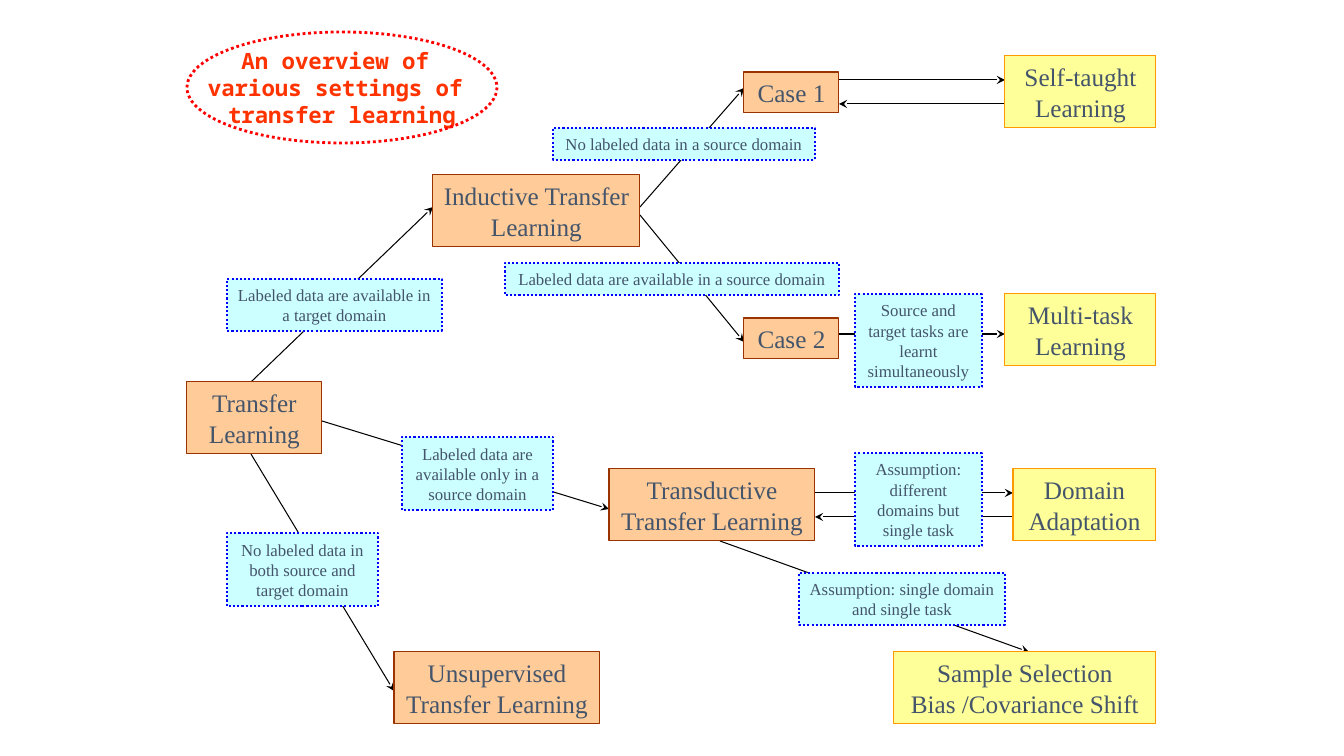
from pptx import Presentation
from pptx.dml.color import RGBColor as Rgb
from pptx.enum.dml import MSO_LINE as Dash
from pptx.enum.shapes import MSO_CONNECTOR as Conn, MSO_SHAPE as Geo
from pptx.enum.text import MSO_ANCHOR as Anchor, MSO_AUTO_SIZE as Fit, PP_ALIGN as Align
from pptx.oxml.ns import qn
from pptx.util import Emu, Pt
from lxml.etree import SubElement as Sub

THEME = {
    "node": {"fill": "FFCC99", "line": "993300", "width": 0.75, "dash": None, "size": 18},
    "goal": {"fill": "FFFF99", "line": "FF9900", "width": 0.75, "dash": None, "size": 18},
    "label": {"fill": "CCFFFF", "line": "0000FF", "width": 1.5, "dash": Dash.ROUND_DOT, "size": 12},
    "title": {"size": 16, "color": "FF3300", "font": "Noto Sans Mono", "bold": True},
    "ring": {"line": "FF0000", "width": 2},
    "text": {"color": "44546A", "font": "Times New Roman"},
    "arrow": {"line": "000000", "width": 0.75},
}
SCALE = 12192000 / 1344


def px(*nums):
    return [Emu(round(n * SCALE)) for n in nums]


def write(shape, text, size, color, font, bold=False, wrap=True, inset=(7, 5)):
    frame = shape.text_frame
    frame.text = text
    frame.auto_size = Fit.NONE
    frame.word_wrap = wrap
    frame.vertical_anchor = Anchor.MIDDLE
    side, edge = px(*inset)
    frame.margin_left = frame.margin_right = side
    frame.margin_top = frame.margin_bottom = edge
    for para in frame.paragraphs:
        para.alignment = Align.CENTER
        for run in para.runs:
            run.font.size = Pt(size)
            run.font.name = font
            run.font.bold = bold
            run.font.color.rgb = Rgb.from_string(color)


deck = Presentation()
deck.slide_width, deck.slide_height = px(1344, 756)
slide = deck.slides.add_slide(deck.slide_layouts[5])
shapes = slide.shapes

oval = px(187, 32, 310, 111)
title = shapes.title
title.left, title.top, title.width, title.height = oval
write(title, "An overview of \nvarious settings of \ntransfer learning",
      wrap=False, inset=(0, 0), **THEME["title"])

ring = shapes.add_shape(Geo.OVAL, *oval)
ring.shadow.inherit = False
ring.fill.background()
ring.line.color.rgb = Rgb.from_string(THEME["ring"]["line"])
ring.line.width = Pt(THEME["ring"]["width"])
ring.line.dash_style = Dash.ROUND_DOT

arrows = [
    (251, 382, 433, 207),
    (322, 421, 609, 509),
    (251, 454, 394, 691),
    (640, 207, 744, 88),
    (640, 215, 744, 342),
    (839, 80, 1005, 80),
    (1005, 104, 839, 104),
    (839, 334, 1005, 334),
    (815, 493, 1013, 493),
    (1013, 517, 815, 517),
    (720, 541, 1029, 652),
]
for ends in arrows:
    arrow = shapes.add_connector(Conn.STRAIGHT, *px(*ends))
    arrow.line.color.rgb = Rgb.from_string(THEME["arrow"]["line"])
    arrow.line.width = Pt(THEME["arrow"]["width"])
    Sub(arrow.line._get_or_add_ln(), qn("a:tailEnd"), type="stealth")
    Sub(arrow._element.spPr, qn("a:effectLst"))

boxes = [
    ("node", 187, 382, 135, 72, "Transfer Learning"),
    ("node", 433, 175, 207, 72, "Inductive Transfer Learning"),
    ("node", 609, 469, 206, 72, "Transductive Transfer Learning"),
    ("node", 394, 652, 206, 72, "Unsupervised Transfer Learning"),
    ("node", 744, 72, 95, 41, "Case 1"),
    ("node", 744, 318, 95, 41, "Case 2"),
    ("goal", 1005, 56, 151, 72, "Self-taught Learning"),
    ("goal", 1005, 294, 151, 72, "Multi-task Learning"),
    ("goal", 1013, 469, 143, 72, "Domain Adaptation"),
    ("goal", 894, 652, 262, 72, "Sample Selection\vBias /Covariance Shift"),
    ("label", 227, 279, 215, 52, "Labeled data are available in a target domain"),
    ("label", 402, 437, 151, 73, "Labeled data are available only in a source domain"),
    ("label", 227, 533, 151, 73, "No labeled data in both source and target domain"),
    ("label", 553, 128, 262, 32, "No labeled data in a source domain"),
    ("label", 505, 263, 334, 32, "Labeled data are available in a source domain"),
    ("label", 855, 294, 127, 93, "Source and target tasks are learnt simultaneously"),
    ("label", 855, 453, 127, 93, "Assumption: different domains but single task"),
    ("label", 799, 573, 206, 52, "Assumption: single domain and single task"),
]
for kind, x, y, w, h, text in boxes:
    style = THEME[kind]
    box = shapes.add_shape(Geo.RECTANGLE, *px(x, y, w, h))
    box.shadow.inherit = False
    box.fill.solid()
    box.fill.fore_color.rgb = Rgb.from_string(style["fill"])
    box.line.color.rgb = Rgb.from_string(style["line"])
    box.line.width = Pt(style["width"])
    box.line.dash_style = style["dash"]
    write(box, text, style["size"], **THEME["text"])

deck.save("out.pptx")
